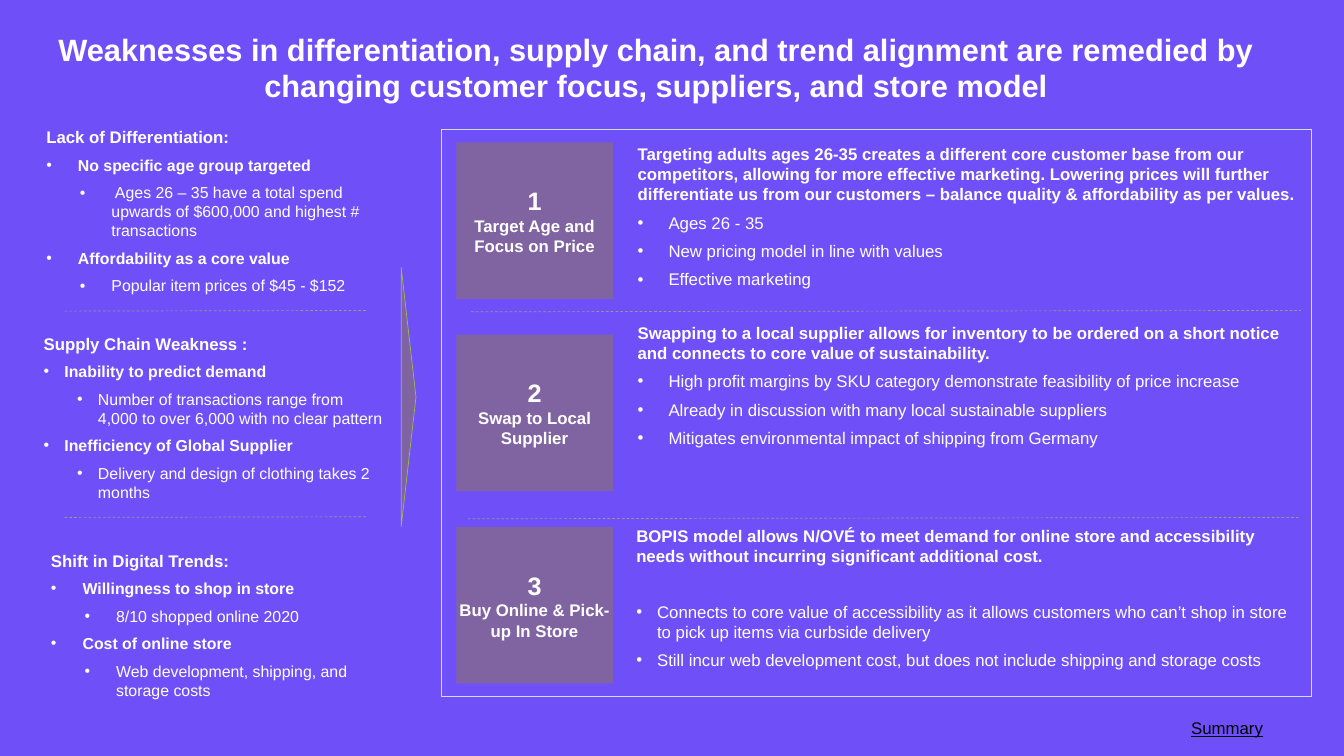
from lxml import etree
from pptx import Presentation
from pptx.dml.color import RGBColor
from pptx.enum.dml import MSO_LINE
from pptx.enum.shapes import MSO_CONNECTOR, MSO_SHAPE
from pptx.enum.text import MSO_ANCHOR, MSO_AUTO_SIZE, PP_ALIGN
from pptx.oxml.ns import qn
from pptx.util import Inches, Pt

RECT, TRIANGLE = MSO_SHAPE.RECTANGLE, MSO_SHAPE.ISOSCELES_TRIANGLE
STRAIGHT, DASH = MSO_CONNECTOR.STRAIGHT, MSO_LINE.DASH
LEFT, CENTER = PP_ALIGN.LEFT, PP_ALIGN.CENTER
TOP, MIDDLE = MSO_ANCHOR.TOP, MSO_ANCHOR.MIDDLE
NO_FIT = MSO_AUTO_SIZE.NONE
BACKGROUND, CARD, WHITE, BLACK = "6F50F8", "8064A2", "FFFFFF", "000000"
DIVIDER, PANEL_LINE, ARROW_LINE = "969696", "D3DFEE", "9BBB59"

TITLE = ("Weaknesses in differentiation, supply chain, and trend alignment are remedied by "
         "changing customer focus, suppliers, and store model")

WEAKNESSES = [
    ((0.59, 1.84, 5.31, 2.63), 0.47, "Lack of Differentiation:", [
        ("No specific age group targeted",
         " Ages 26 – 35 have a total spend upwards of $600,000 and highest # transactions"),
        ("Affordability as a core value", "Popular item prices of $45 - $152")]),
    ((0.55, 4.91, 5.31, 3), 0.31, "Supply Chain Weakness :", [
        ("Inability to predict demand",
         "Number of transactions range from 4,000 to over 6,000 with no clear pattern"),
        ("Inefficiency of Global Supplier", "Delivery and design of clothing takes 2 months")]),
    ((0.66, 8.14, 5.31, 2.42), 0.47, "Shift in Digital Trends:", [
        ("Willingness to shop in store", "8/10 shopped online 2020"),
        ("Cost of online store", "Web development, shipping, and storage costs")]),
]

REMEDIES = [
    ("Target Age and Focus on Price", (9.39, 2.09, 10.06, 2.3), 0.46, 8.8,
     "Targeting adults ages 26-35 creates a different core customer base from our competitors, "
     "allowing for more effective marketing. Lowering prices will further differentiate us from "
     "our customers – balance quality & affordability as per values.",
     ["Ages 26 - 35", "New pricing model in line with values", "Effective marketing"]),
    ("Swap to Local Supplier", (9.39, 4.75, 10.06, 2.85), 0.46, 8.8,
     "Swapping to a local supplier allows for inventory to be ordered on a short notice and "
     "connects to core value of sustainability.",
     ["High profit margins by SKU category demonstrate feasibility of price increase",
      "Already in discussion with many local sustainable suppliers",
      "Mitigates environmental impact of shipping from Germany"]),
    ("Buy Online & Pick-up In Store", (9.37, 7.77, 9.96, 2.3), 0.31, 38.3,
     "BOPIS model allows N/OVÉ to meet demand for online store and accessibility needs without "
     "incurring significant additional cost.",
     ["Connects to core value of accessibility as it allows customers who can’t shop in store "
      "to pick up items via curbside delivery",
      "Still incur web development cost, but does not include shipping and storage costs"]),
]

DIVIDERS = [(0.96, 4.63, 5.46, 4.62), (7.01, 4.64, 19.36, 4.62),
            (0.96, 7.7, 5.46, 7.69), (6.96, 7.72, 19.32, 7.7)]


def rgb(value):
    """Turn a hex string into a colour."""
    return RGBColor.from_string(value)


def inches(box):
    """Turn a box of numbers into lengths."""
    return [Inches(v) for v in box]


def frame(tf, insets=(0.1, 0.05), anchor=TOP):
    """Set the wrap, anchor and insets of a text frame."""
    x, y = inches(insets)
    fmt = dict(word_wrap=True, auto_size=NO_FIT, vertical_anchor=anchor,
               margin_left=x, margin_right=x, margin_top=y, margin_bottom=y)
    for name, value in fmt.items():
        setattr(tf, name, value)
    return tf


def write(tf, text, size, color=WHITE, align=LEFT, before=0, indent=0, level=0, **font):
    """Add a paragraph, with a bullet when it has an indent."""
    p = tf.paragraphs[0]
    if p.runs:
        p = tf.add_paragraph()
    p.alignment, p.level, p.space_before = align, level, Pt(before)
    if indent:
        pPr = p._p.get_or_add_pPr()
        pPr.set("marL", str(Inches(indent + 0.5 * level)))
        pPr.set("indent", str(-Inches(indent)))
        etree.SubElement(pPr, qn("a:buFont")).set("typeface", "Arial")
        etree.SubElement(pPr, qn("a:buChar")).set("char", "•")
    r = p.add_run()
    r.text = text
    r.font.color.rgb = rgb(color)
    for name, value in dict(name="Arial", size=Pt(size), **font).items():
        setattr(r.font, name, value)
    return p


def add_text(s, box):
    """Add a wrapping text box and return its frame."""
    return frame(s.shapes.add_textbox(*inches(box)).text_frame)


def add_block(s, kind, box, fill=None, line=None):
    """Add a flat preset shape."""
    sp = s.shapes.add_shape(kind, *inches(box))
    sp.shadow.inherit = False
    if fill:
        sp.fill.solid()
        sp.fill.fore_color.rgb = rgb(fill)
    else:
        sp.fill.background()
    if line:
        sp.line.color.rgb, sp.line.width = rgb(line), Pt(0.75)
    else:
        sp.line.fill.background()
    return sp


def add_divider(s, ends):
    """Add a dashed rule between two points."""
    sp = s.shapes.add_connector(STRAIGHT, *inches(ends))
    sp.line.color.rgb, sp.line.width, sp.line.dash_style = rgb(DIVIDER), Pt(0.75), DASH
    etree.SubElement(sp._element.spPr, qn("a:effectLst"))


def add_title(s, box):
    """Place and fill the title placeholder."""
    sp = s.shapes.title
    sp.left, sp.top, sp.width, sp.height = inches(box)
    write(frame(sp.text_frame, (0, 0)), TITLE, 33, align=CENTER, bold=True)


def add_weakness(s, box, indent, heading, points):
    """Add a heading with two levels of bullets."""
    tf = add_text(s, box)
    write(tf, heading, 18, bold=True)
    for point, detail in points:
        write(tf, point, 17, before=9, indent=indent, bold=True)
        write(tf, detail, 17, before=9, indent=indent, level=1, bold=False)


def add_card(s, box, number, label):
    """Add a numbered card."""
    tf = frame(add_block(s, RECT, box, CARD).text_frame, (0, 0.15), MIDDLE)
    write(tf, str(number), 27, align=CENTER, bold=True)
    write(tf, label, 18, align=CENTER, bold=True)


def add_remedy(s, box, indent, gap, summary, points):
    """Add a bold summary with bullets below it."""
    tf = add_text(s, box)
    write(tf, summary, 18, bold=True)
    for i, point in enumerate(points):
        write(tf, point, 18, before=8.8 if i else gap, indent=indent, bold=False)


def add_summary(s, box):
    """Add the underlined label in the corner."""
    tf = frame(add_text(s, box)._parent.text_frame, (0, 0))
    p = write(tf, "Summary", 18, BLACK, CENTER, underline=True)
    p.line_spacing = Pt(23.4)


def main():
    """Build the slide and save it."""
    prs = Presentation()
    prs.slide_width, prs.slide_height = Inches(20), Inches(11.25)
    s = prs.slides.add_slide(prs.slide_layouts[5])
    s.background.fill.solid()
    s.background.fill.fore_color.rgb = rgb(BACKGROUND)
    add_title(s, (0.82, 0.45, 17.89, 1.11))
    add_block(s, RECT, (6.57, 1.93, 12.94, 8.43), line=PANEL_LINE)
    add_block(s, TRIANGLE, (4.15, 5.8, 3.86, 0.22), CARD, ARROW_LINE).rotation = 90
    for ends in DIVIDERS:
        add_divider(s, ends)
    for weakness in WEAKNESSES:
        add_weakness(s, *weakness)
    for i, (label, *remedy) in enumerate(REMEDIES):
        add_card(s, (6.79, 2.12 + 2.86 * i, 2.33, 2.33), i + 1, label)
        add_remedy(s, *remedy)
    add_summary(s, (16.77, 10.65, 2.98, 0.3))
    prs.save("out.pptx")


if __name__ == "__main__":
    main()
